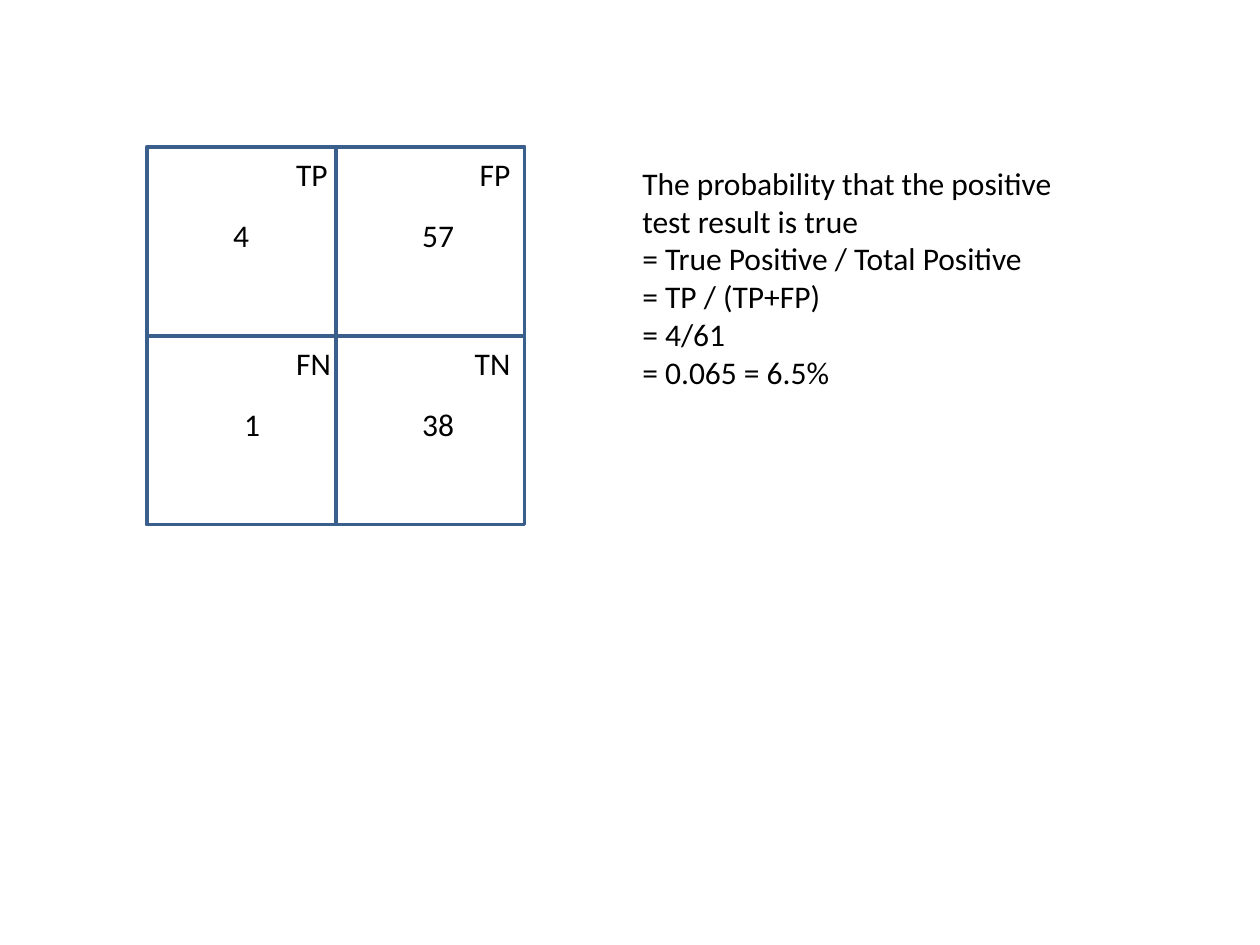
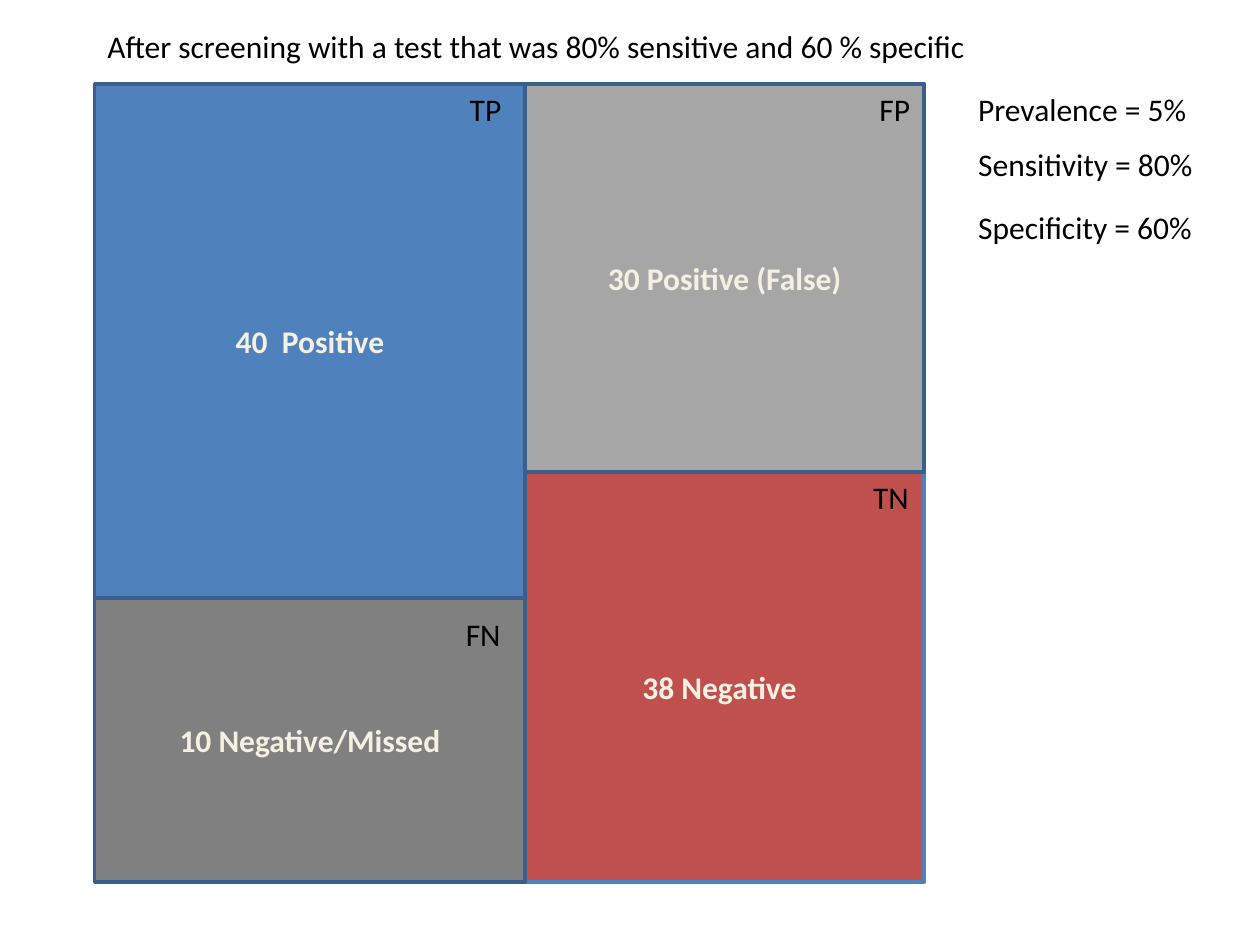
"""Builds two slides on reading the results of a screening test."""
from lxml.etree import SubElement
from pptx import Presentation
from pptx.dml.color import RGBColor
from pptx.enum.shapes import MSO_SHAPE
from pptx.enum.text import MSO_ANCHOR as Anchor, MSO_AUTO_SIZE as AutoSize, PP_ALIGN as Align
from pptx.oxml.ns import qn
from pptx.util import Cm, Pt

BLACK = RGBColor(0x00, 0x00, 0x00)
WHITE = RGBColor(0xFF, 0xFF, 0xFF)
CREAM = RGBColor(0xF4, 0xF1, 0xE3)
NAVY = RGBColor(0x05, 0x46, 0x97)
STEEL = RGBColor(0x3A, 0x5F, 0x8C)
BLUE = RGBColor(0x4F, 0x81, 0xBD)
RED = RGBColor(0xC0, 0x50, 0x4D)
LIGHT_GREY = RGBColor(0xA6, 0xA6, 0xA6)
GREY = RGBColor(0x80, 0x80, 0x80)

TITLE_ONLY, BLANK = 5, 6
LINE_HEIGHT = 1.02
TAG_WIDTHS = {"TP": 1.14, "FP": 1.14, "FN": 1.22, "TN": 1.24}


class Deck:
    def __init__(self):
        self.presentation = Presentation()
        self.presentation.slide_width = Cm(25.4)
        self.presentation.slide_height = Cm(19.05)
        self.slide = None

    def new_slide(self, layout):
        self.slide = self.presentation.slides.add_slide(
            self.presentation.slide_layouts[layout])

    def styled_run(self, paragraph, text, emphasis=False):
        run = paragraph.add_run()
        run.text = text
        run.font.name = "Calibri"
        run.font.size = Pt(18)
        run.font.bold = emphasis
        run.font.color.rgb = CREAM if emphasis else BLACK
        if emphasis:
            properties = run.font._element
            outline = SubElement(properties, qn("a:ln"), w=str(Pt(1)))
            fill = SubElement(outline, qn("a:solidFill"))
            SubElement(fill, qn("a:srgbClr"), val=str(NAVY))
            properties.insert(0, outline)

    def title(self, text, left, top, width):
        heading = self.slide.shapes.title
        heading.left, heading.top = Cm(left), Cm(top)
        heading.width, heading.height = Cm(width), Cm(LINE_HEIGHT)
        frame = heading.text_frame
        frame.auto_size = AutoSize.NONE
        frame.word_wrap = False
        frame.vertical_anchor = Anchor.TOP
        frame.paragraphs[0].alignment = Align.LEFT
        self.styled_run(frame.paragraphs[0], text)

    def text(self, lines, left, top, width, height=LINE_HEIGHT, wrap=False, emphasis=False):
        frame = self.slide.shapes.add_textbox(
            Cm(left), Cm(top), Cm(width), Cm(height)).text_frame
        frame.word_wrap = wrap
        frame.auto_size = AutoSize.SHAPE_TO_FIT_TEXT
        for index, line in enumerate(lines):
            paragraph = frame.add_paragraph() if index else frame.paragraphs[0]
            self.styled_run(paragraph, line, emphasis)

    def tag(self, name, left, top):
        self.text([name], left, top, TAG_WIDTHS[name])

    def area(self, left, top, width, height, fill, line=STEEL, caption=None):
        area = self.slide.shapes.add_shape(
            MSO_SHAPE.RECTANGLE, Cm(left), Cm(top), Cm(width), Cm(height))
        area.shadow.inherit = False
        area.fill.solid()
        area.fill.fore_color.rgb = fill
        area.line.color.rgb = line
        area.line.width = Pt(2)
        if caption:
            frame = area.text_frame
            frame.vertical_anchor = Anchor.MIDDLE
            frame.paragraphs[0].alignment = Align.CENTER
            self.styled_run(frame.paragraphs[0], caption, emphasis=True)


def predictive_value(deck):
    deck.new_slide(BLANK)
    origin, cell = 2.96, 3.81
    for row in range(2):
        for column in range(2):
            deck.area(origin + column * cell, origin + row * cell, cell, cell, WHITE)
    for name, row, tag_left, count, count_left, count_width in (
            ("TP", 0, 5.72, "4", 4.45, 0.84),
            ("FP", 0, 9.42, "57", 8.26, 1.17),
            ("FN", 1, 5.72, "1", 4.67, 0.84),
            ("TN", 1, 9.32, "38", 8.26, 1.17)):
        row_top = origin + row * cell
        deck.tag(name, tag_left, row_top + 0.04)
        deck.text([count], count_left, row_top + 1.28, count_width)
    deck.text(["The probability that the positive test result is true",
               "= True Positive / Total Positive",
               "= TP / (TP+FP)",
               "= 4/61",
               "= 0.065 = 6.5%"], 12.7, 3.18, 9.53, 4.88, wrap=True)


def screening_result(deck):
    deck.new_slide(TITLE_ONLY)
    left, top, width, height = 1.91, 1.69, 16.72, 16.09
    diseased_width, tp_height, fp_height = 8.68, 10.37, 7.83
    healthy_left = left + diseased_width
    fn_top = top + tp_height

    deck.title("After screening with a test that was 80% sensitive and 60 % specific",
               left, 0.42, 18.11)
    deck.area(left, top, width, height, RED, BLUE)
    deck.area(healthy_left, top, width - diseased_width, fp_height, LIGHT_GREY,
              caption="30 Positive (False)")
    deck.area(left, top, diseased_width, tp_height, BLUE, caption="40  Positive")
    deck.area(left, fn_top, diseased_width, height - tp_height, GREY,
              caption="10 Negative/Missed")
    deck.text(["38 Negative"], 12.7, 13.34, 3.66, emphasis=True)
    for name, tag_left, tag_top in (("TP", 9.22, top), ("FN", 9.14, fn_top + 0.21),
                                    ("FP", 17.48, top), ("TN", 17.35, top + fp_height)):
        deck.tag(name, tag_left, tag_top)
    for measure, measure_top, measure_width in (("Prevalence = 5%", top, 4.75),
                                                ("Sensitivity = 80%", 2.79, 4.88),
                                                ("Specificity = 60%", 4.06, 4.88)):
        deck.text([measure], 19.47, measure_top, measure_width)


def main():
    deck = Deck()
    predictive_value(deck)
    screening_result(deck)
    deck.presentation.save("out.pptx")


if __name__ == "__main__":
    main()
